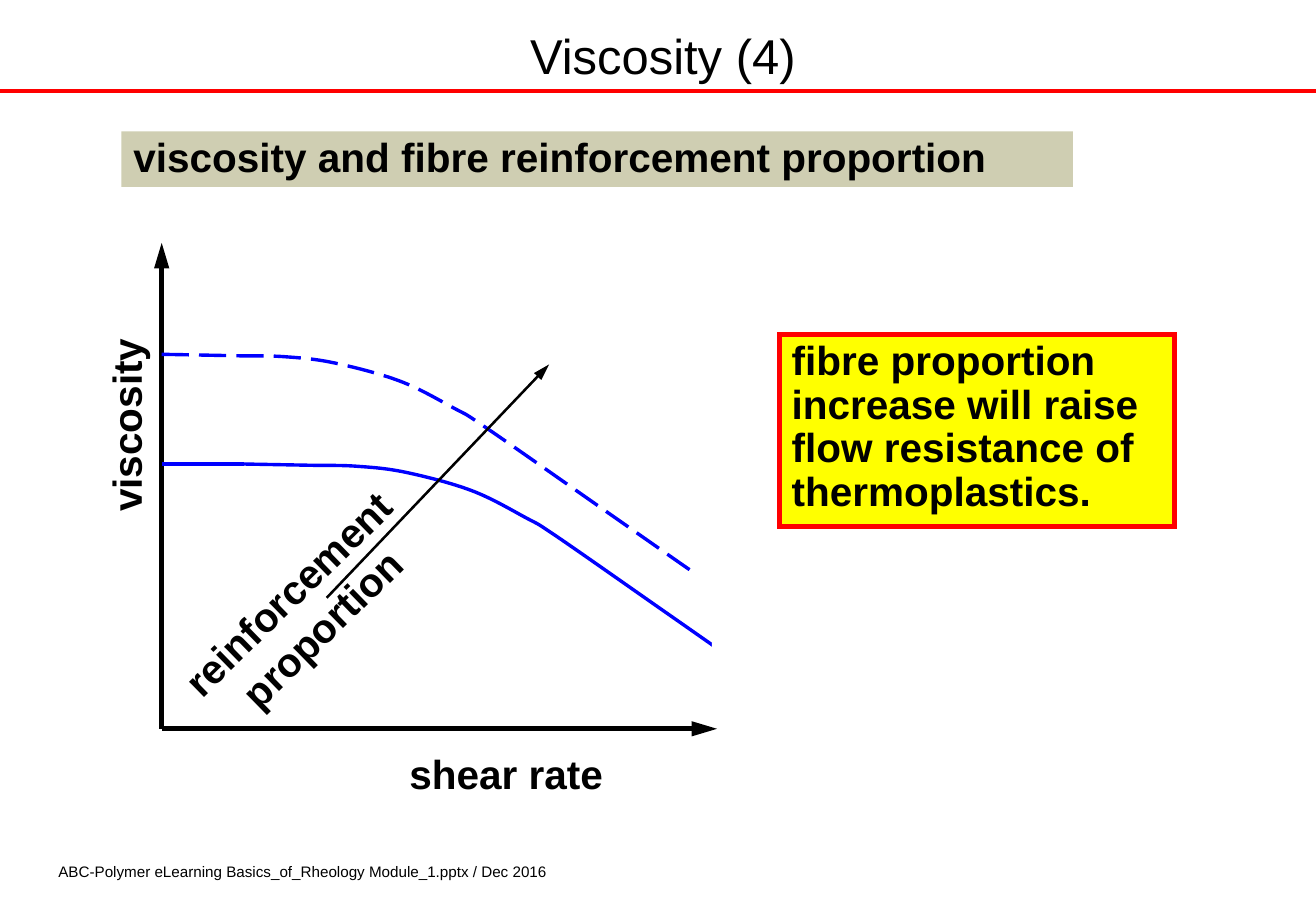
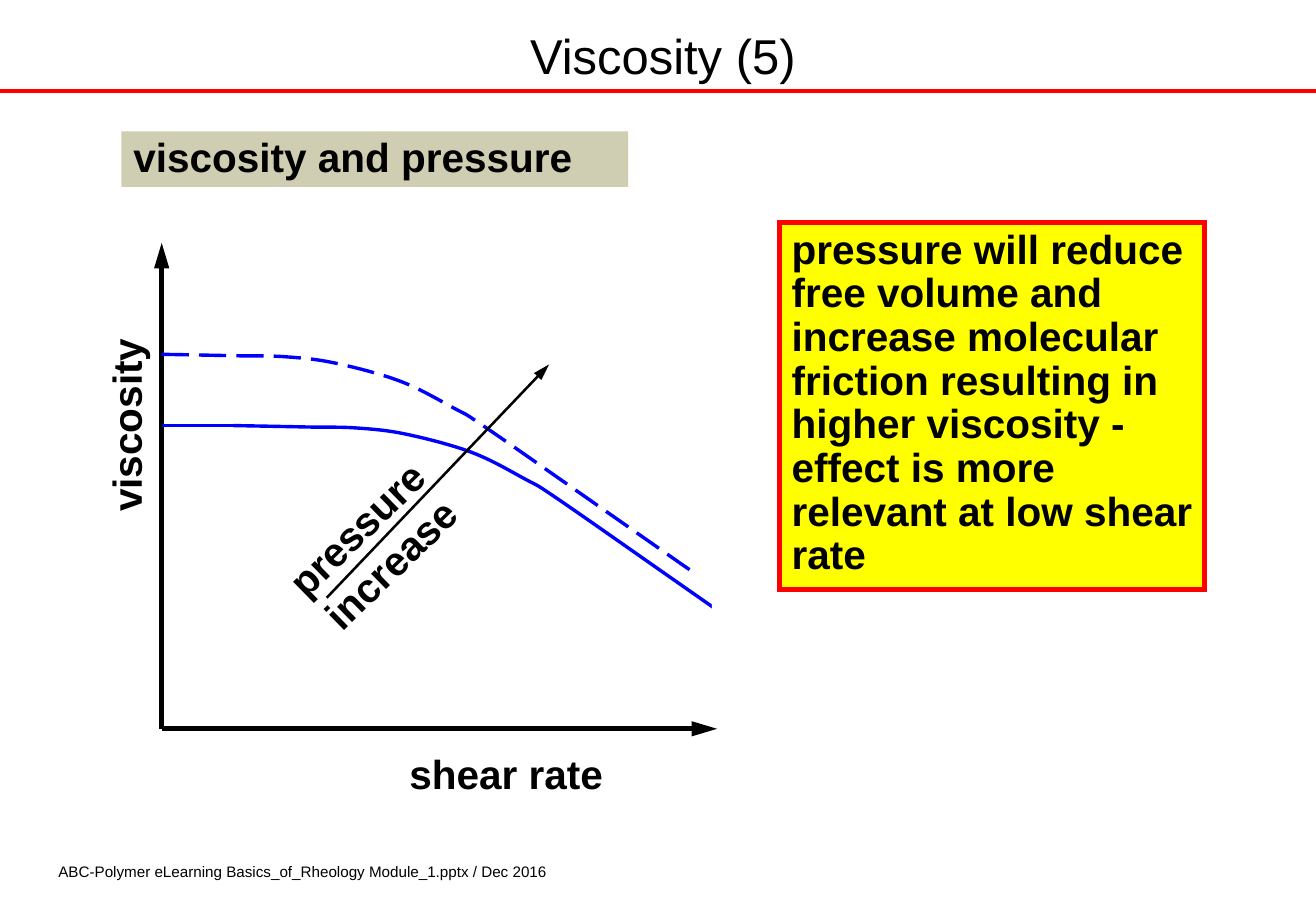
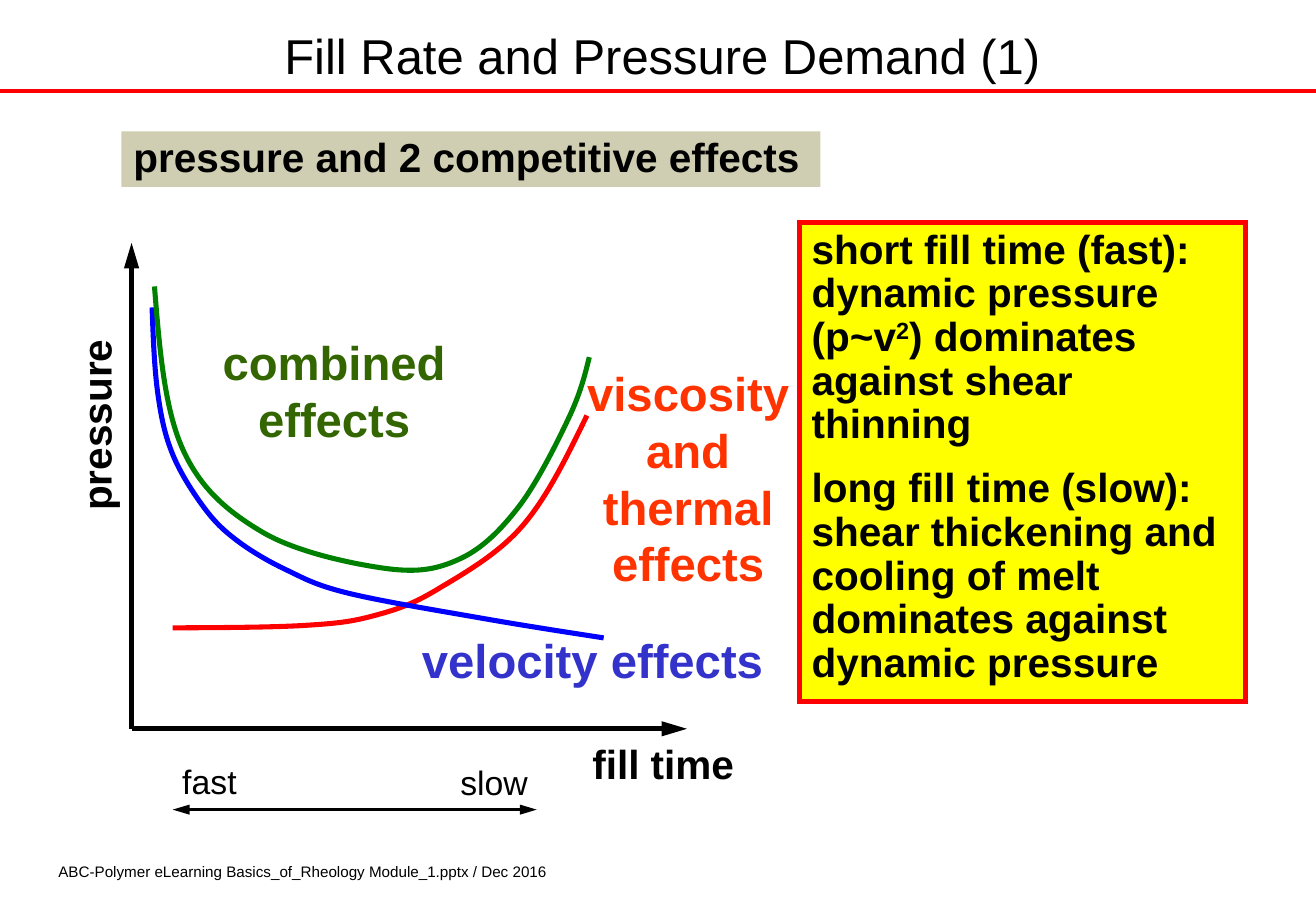
from pptx import Presentation
from pptx.dml.color import RGBColor
from pptx.enum.dml import MSO_LINE
from pptx.enum.shapes import MSO_CONNECTOR, MSO_SHAPE
from pptx.enum.text import MSO_ANCHOR, MSO_AUTO_SIZE, PP_ALIGN
from pptx.oxml import parse_xml
from pptx.oxml.ns import nsdecls, qn
from pptx.util import Cm, Pt

WIDTH, HEIGHT = 27.51, 19.05
BLACK, WHITE, RED, BLUE = "000000", "FFFFFF", "FF0000", "0000FF"
GREEN, SAND, YELLOW = "008000", "CFCEB2", "FFFF00"
FOOTER = "ABC-Polymer eLearning Basics_of_Rheology Module_1.pptx / Dec 2016"
BASE, TOP, REACH = 15.24, 5.08, 11.61
MASK = (14.88, 8.97, 2.06, 5.84)

FLOW = [(0, 0), (1.55, 0.03), (2.57, 0.05), (3.61, 0.18), (4.98, 0.56),
        (6.1, 1.12), (6.76, 1.52), (9.17, 3.2), (10.8, 4.34), (11.18, 4.6)]

VISCOSITY = [
    dict(title="Viscosity (4)",
         band=("viscosity and fibre reinforcement proportion", 19.89),
         trend=("reinforcement proportion", 2.98, 11.75), solid=9.7,
         note=["fibre proportion increase will raise flow resistance of thermoplastics."],
         box=(16.3, 6.99, 8.26, 4.02)),
    dict(title="Viscosity (5)",
         band=("viscosity and pressure", 10.59),
         trend=("pressure increase", 4.42, 10.4), solid=8.9,
         note=["pressure will reduce free volume and increase molecular friction "
               "resulting in higher viscosity - effect is more relevant at low shear rate"],
         box=(16.3, 4.66, 8.89, 7.67)),
]

FILL = dict(
    title="Fill Rate and Pressure Demand (1)",
    band=("pressure and 2 competitive effects", 14.61),
    note=["short fill time (fast): dynamic pressure (p~v^2^) dominates against shear thinning",
          "long fill time (slow): shear thickening and cooling of melt dominates "
          "against dynamic pressure"],
    box=(16.72, 4.66, 9.32, 10.01))

EFFECTS = [
    (RED, [(3.61, 13.13), (6.35, 13.08), (7.8, 12.88), (9.12, 12.34),
           (10.92, 11), (12.27, 8.69)]),
    (BLUE, [(3.18, 6.43), (3.3, 8.23), (3.61, 9.5), (4.27, 10.62), (4.95, 11.3),
            (5.97, 11.91), (7.26, 12.4), (10.08, 12.93), (12.62, 13.34)]),
    (GREEN, [(3.23, 5.99), (3.81, 9.37), (5.49, 11.13), (8.08, 11.89), (9.63, 11.68),
             (10.85, 10.59), (11.89, 8.74), (12.32, 7.47)]),
]

LABELS = [
    ("viscosity and thermal effects", (11.63, 7.62, 5.51, 4.75), "FF3300"),
    ("velocity effects", (8.04, 13.21, 8.69, 1.19), "3333CC"),
    ("combined effects", (4.23, 6.98, 5.51, 2.36), "336600"),
]
PACE = [("fast", (3.4, 15.9, 1.96, 0.84)), ("slow", (9.3, 15.93, 2.06, 0.84))]


def paint(hue):
    return RGBColor.from_string(hue)


def write(frame, text, size=24, bold=True, hue=BLACK, align=PP_ALIGN.CENTER,
          pad=(0.25, 0), pitch=None, anchor=MSO_ANCHOR.TOP):
    frame.word_wrap = True
    frame.auto_size = MSO_AUTO_SIZE.NONE
    frame.vertical_anchor = anchor
    frame.margin_left = frame.margin_right = Cm(pad[0])
    frame.margin_top = frame.margin_bottom = Cm(pad[1])
    for row, part in enumerate([text] if isinstance(text, str) else text):
        para = frame.add_paragraph() if row else frame.paragraphs[0]
        para.alignment = align
        para.space_before = Pt(size / 2 if row else 0)
        if pitch:
            para.line_spacing = pitch
        for turn, piece in enumerate(part.split("^")):
            run = para.add_run()
            run.text = piece
            font = run.font
            font.name, font.size, font.bold = "Arial", Pt(size), bold
            font.color.rgb = paint(hue)
            if turn % 2:
                run._r.get_or_add_rPr().set("baseline", "30000")


def label(slide, text, box, turn=0, **style):
    shape = slide.shapes.add_textbox(*map(Cm, box))
    shape.rotation = turn
    write(shape.text_frame, text, **style)
    return shape


def panel(slide, box, fill, text=None, edge=None):
    shape = slide.shapes.add_shape(MSO_SHAPE.RECTANGLE, *map(Cm, box))
    shape.shadow.inherit = False
    shape.fill.solid()
    shape.fill.fore_color.rgb = paint(fill)
    if edge:
        shape.line.color.rgb = paint(edge)
        shape.line.width = Pt(3)
        shape.element.spPr.find(qn("a:ln")).append(
            parse_xml(f'<a:miter {nsdecls("a")} lim="800000"/>'))
    else:
        shape.line.fill.background()
    if text:
        write(shape.text_frame, text, align=PP_ALIGN.LEFT, pad=(0.25, 0.13), pitch=0.9)


def line(slide, start, end, hue=BLACK, width=3, heads=("tailEnd",)):
    link = slide.shapes.add_connector(MSO_CONNECTOR.STRAIGHT, *map(Cm, start + end))
    link.line.color.rgb = paint(hue)
    link.line.width = Pt(width)
    props = link.element.spPr
    for head in heads:
        props.find(qn("a:ln")).append(
            parse_xml(f'<a:{head} {nsdecls("a")} type="triangle" w="med" len="lg"/>'))
    props.append(parse_xml(f'<a:effectLst {nsdecls("a")}/>'))
    return link


def mid(a, b):
    return tuple((p + q) / 2 for p, q in zip(a, b))


def pull(spot, ahead, back):
    return tuple(s + (a - b) / 6 for s, a, b in zip(spot, ahead, back))


def bend(shape):
    root = shape.element
    spots = [(int(p.get("x")), int(p.get("y"))) for p in root.iter(qn("a:pt"))]
    last = len(spots) - 1
    for i, leg in enumerate(list(root.iter(qn("a:lnTo")))):
        a, b = spots[i], spots[i + 1]
        out = pull(a, b, spots[i - 1]) if i else None
        into = pull(b, a, spots[i + 2]) if i + 1 < last else None
        trio = (out or mid(a, into), into or mid(out, b), b)
        marks = "".join(f'<a:pt x="{round(x)}" y="{round(y)}"/>' for x, y in trio)
        leg.getparent().replace(
            leg, parse_xml(f'<a:cubicBezTo {nsdecls("a")}>{marks}</a:cubicBezTo>'))


def curve(slide, knots, hue, width, dash=None):
    spots = [(Cm(x), Cm(y)) for x, y in knots]
    pen = slide.shapes.build_freeform(*spots[0], scale=1.0)
    pen.add_line_segments(spots[1:], close=False)
    shape = pen.convert_to_shape()
    bend(shape)
    shape.shadow.inherit = False
    shape.fill.background()
    shape.line.color.rgb = paint(hue)
    shape.line.width = Pt(width)
    if dash:
        shape.line.dash_style = dash


def shift(knots, left, top):
    return [(left + x, top + y) for x, y in knots]


def axes(slide, left, name):
    line(slide, (left, BASE), (left, TOP))
    line(slide, (left, BASE), (left + REACH, BASE))
    label(slide, name, (left - 2.87, 8.38, 4.24, 1.02), turn=270)


def begin(deck, data):
    slide = deck.slides.add_slide(deck.slide_layouts[5])
    head = slide.shapes.title
    head.left, head.top, head.width, head.height = map(Cm, (0.79, 0.53, 26.14, 1.22))
    write(head.text_frame, data["title"], size=29, bold=False, pad=(0.23, 0),
          anchor=MSO_ANCHOR.MIDDLE)
    text, width = data["band"]
    panel(slide, (2.54, 2.75, width, 1.16), SAND, text)
    return slide


def share(deck, slide):
    rule = line(slide, (0, 1.91), (WIDTH, 1.91), hue=RED, width=2.25, heads=())
    foot = label(slide, FOOTER, (0.99, 17.91, 10.77, 0.61), size=9, bold=False,
                 align=PP_ALIGN.LEFT, pad=(0.23, 0.13))
    for shape in (rule, foot):
        deck.slide_layouts[5].shapes.element.append(shape.element)


def flow(deck, data):
    slide = begin(deck, data)
    left, top = 3.38, data["solid"]
    axes(slide, left, "viscosity")
    label(slide, "shear rate", (7.83, 15.67, 5.51, 1.02))
    line(slide, (left + 1.73, top), (left, top), hue=BLUE, width=2, heads=())
    curve(slide, shift(FLOW, left + 1.5, top), BLUE, 2)
    panel(slide, MASK, WHITE)
    curve(slide, shift(FLOW, left, 7.41), BLUE, 2, MSO_LINE.LONG_DASH)
    text, x, y = data["trend"]
    label(slide, text, (x, y, 6.78, 2.04), turn=315.7)
    line(slide, (6.83, 12.5), (11.48, 7.62), width=1.5)
    panel(slide, data["box"], YELLOW, data["note"], RED)
    return slide


def demand(deck, data):
    slide = begin(deck, data)
    axes(slide, 2.75, "pressure")
    label(slide, "fill time", (11.64, 15.46, 4.45, 1.02))
    line(slide, (3.61, 16.93), (11.22, 16.93), width=2, heads=("headEnd", "tailEnd"))
    for text, box in PACE:
        label(slide, text, box, size=20, bold=False)
    for hue, knots in EFFECTS:
        curve(slide, knots, hue, 3)
    for text, box, hue in LABELS:
        label(slide, text, box, size=28, hue=hue)
    panel(slide, data["box"], YELLOW, data["note"], RED)


def main():
    deck = Presentation()
    deck.slide_width, deck.slide_height = Cm(WIDTH), Cm(HEIGHT)
    pages = [flow(deck, data) for data in VISCOSITY]
    share(deck, pages[0])
    demand(deck, FILL)
    deck.save("out.pptx")


if __name__ == "__main__":
    main()
